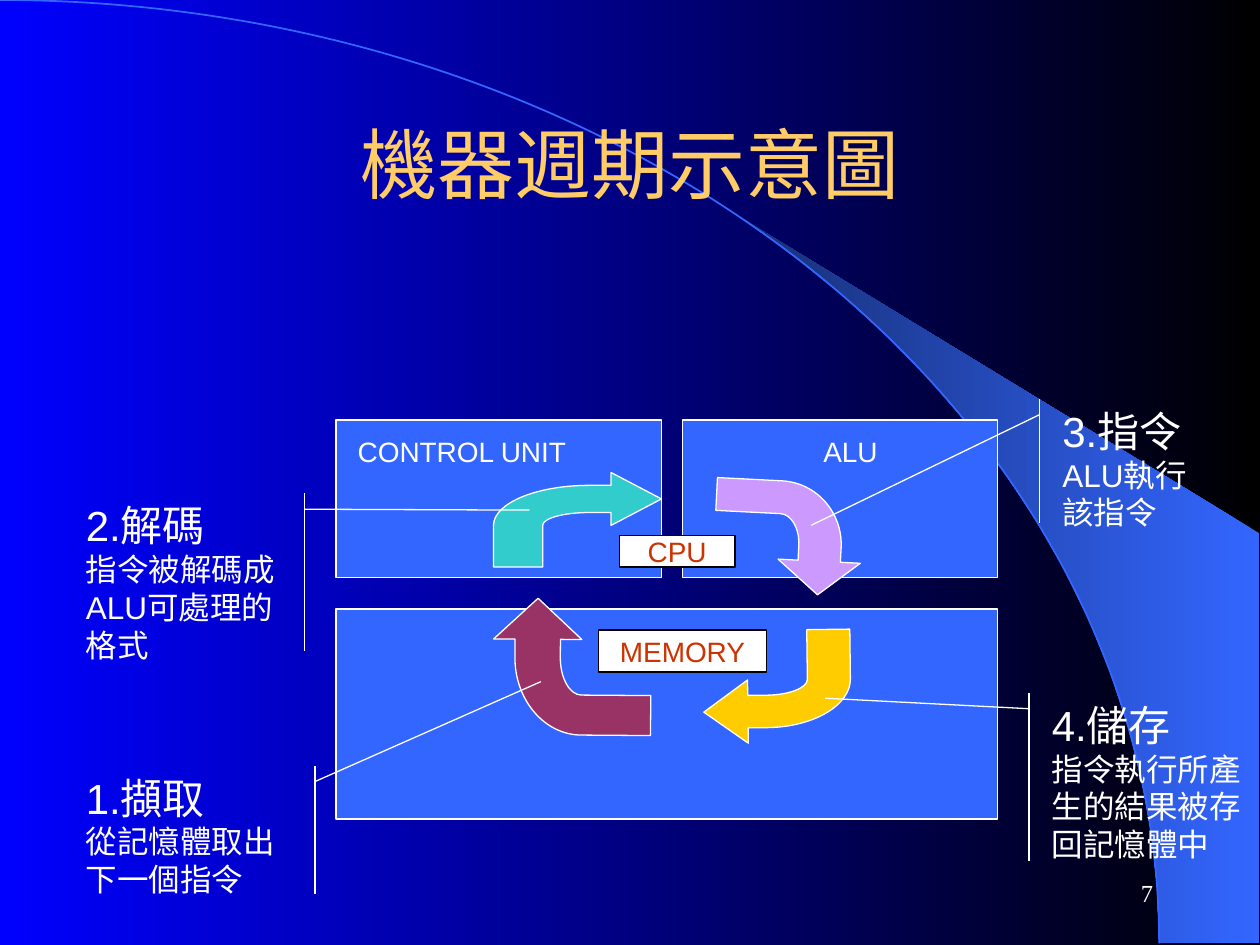
"""Build the machine cycle slide: control unit, ALU and memory joined by four arrows."""
import math

from lxml import etree
from pptx import Presentation
from pptx import util as u
from pptx.dml.color import RGBColor
from pptx.enum import shapes, text
from pptx.oxml import ns

BLACK = RGBColor(0x00, 0x00, 0x00)
WHITE = RGBColor(0xFF, 0xFF, 0xFF)
DEEP_BLUE = RGBColor(0x00, 0x00, 0xFF)
BLUE = RGBColor(0x33, 0x66, 0xFF)
NAVY = RGBColor(0x17, 0x2F, 0x75)
GOLD = RGBColor(0xFF, 0xCC, 0x66)
RED = RGBColor(0xCC, 0x33, 0x00)
TEAL = RGBColor(0x33, 0xCC, 0xCC)
LILAC = RGBColor(0xCC, 0x99, 0xFF)
YELLOW = RGBColor(0xFF, 0xCC, 0x00)
PLUM = RGBColor(0x99, 0x33, 0x66)


def outline(canvas, points, curves=()):
    corners = [(u.Pt(x), u.Pt(y)) for x, y in points]
    builder = canvas.build_freeform(*corners[0])
    builder.add_line_segments(corners[1:])
    shape = builder.convert_to_shape()
    shape.shadow.inherit = False
    segments = list(shape._element.find(".//" + ns.qn("a:path")))
    for first in curves:
        curve = etree.Element(ns.qn("a:cubicBezTo"))
        segments[first].addprevious(curve)
        for segment in segments[first:first + 3]:
            curve.append(segment[0])
            segment.getparent().remove(segment)
    return shape


def write(shape, lines, sizes, color=WHITE, font="Arial", align=text.PP_ALIGN.CENTER,
          anchor=text.MSO_ANCHOR.MIDDLE, wrap=True):
    frame = shape.text_frame
    frame.word_wrap = wrap
    frame.vertical_anchor = anchor
    frame.text = "\n".join(lines)
    for paragraph, size in zip(frame.paragraphs, sizes):
        paragraph.alignment = align
        for run in paragraph.runs:
            run.font.name = font
            run.font.size = u.Pt(size)
            run.font.color.rgb = color


presentation = Presentation()
presentation.slide_width, presentation.slide_height = u.Pt(720), u.Pt(540)
slide = presentation.slides.add_slide(presentation.slide_layouts[6])
canvas = slide.shapes

angles = [math.radians(50.2 * step / 15) for step in range(16)]
crescent_edge = [(662.4 * math.cos(a), 539 - 539 * math.sin(a)) for a in angles]
crescent = outline(canvas, crescent_edge + [(424, 124.8), (719.3, 304.6), (719.3, 539)])
crescent.line.fill.background()
for fill, colors in ((slide.background.fill, (BLACK, DEEP_BLUE)),
                     (crescent.fill, (BLUE, NAVY))):
    fill.gradient()
    fill.gradient_angle = 180
    for stop, color in zip(fill.gradient_stops, colors):
        stop.color.rgb = color

horizon = canvas.add_shape(shapes.MSO_SHAPE.ARC, u.Pt(-662.4), u.Pt(0), u.Pt(1324.8), u.Pt(1078))
horizon.shadow.inherit = False
horizon.fill.background()
horizon.line.color.rgb = BLUE
horizon.line.width = u.Pt(1)

title = canvas.add_textbox(u.Pt(54), u.Pt(48), u.Pt(612), u.Pt(90))
write(title, ["機器週期示意圖"], [44], color=GOLD)

units = [(390, 240, 180, 90), (192, 348, 378, 120), (192, 240, 186, 90)]
for box in units:
    unit = canvas.add_shape(shapes.MSO_SHAPE.RECTANGLE, *map(u.Pt, box))
    unit.shadow.inherit = False
    unit.fill.solid()
    unit.fill.fore_color.rgb = BLUE
    unit.line.color.rgb = WHITE
    unit.line.width = u.Pt(0.75)

bent_arrow = [(0, 100), (0, 56), (0, 32.6), (25.5, 13.6), (57, 13.6), (70, 13.6), (70, 0),
              (100, 28), (70, 56), (70, 42.4), (57, 42.4), (41.7, 42.4), (29.3, 48.5),
              (29.3, 56), (29.3, 100)]
arrows = [
    (282, 270, 96, 54, 0, TEAL),
    (418.3, 265, 64, 84, 92.9, LILAC),
    (402, 360, 84, 64.5, 179.3, YELLOW),
    (288, 336, 78, 90, 270.4, PLUM),
]
for left, top, width, height, rotation, color in arrows:
    points = [(left + width * x / 100, top + height * y / 100) for x, y in bent_arrow]
    arrow = outline(canvas, points, curves=(2, 11))
    arrow.rotation = rotation
    arrow.fill.solid()
    arrow.fill.fore_color.rgb = color
    arrow.line.color.rgb = WHITE
    arrow.line.width = u.Pt(0.75)

labels = [
    ("ALU", (456, 246, 60, 24), BLUE, WHITE, None),
    ("CONTROL UNIT", (210, 246, 108, 24), BLUE, WHITE, None),
    ("CPU", (354, 306, 66, 18), WHITE, RED, BLACK),
    ("MEMORY", (342, 360, 96, 24), WHITE, RED, BLACK),
]
for name, box, fill_color, text_color, border in labels:
    label = canvas.add_shape(shapes.MSO_SHAPE.RECTANGLE, *map(u.Pt, box))
    label.shadow.inherit = False
    label.fill.solid()
    label.fill.fore_color.rgb = fill_color
    if border is None:
        label.line.fill.background()
    else:
        label.line.color.rgb = border
        label.line.width = u.Pt(0.75)
    write(label, [name], [16], color=text_color, wrap=False)

steps = [
    ("1.擷取", "從記憶體取出下一個指令", (42, 437.6, 132, 73.5), 180, (309, 389.5)),
    ("2.解碼", "指令被解碼成ALU可處理的格式", (42, 282, 126, 90), 174, (302.5, 291.5)),
    ("3.指令", "ALU執行該指令", (600, 228, 96, 70.8), 594, (463.5, 300.2)),
    ("4.儲存", "指令執行所產生的結果被存回記憶體中", (594, 396, 126, 96), 588, (471.5, 399)),
]
for heading, detail, box, bar_x, (target_x, target_y) in steps:
    left, top, width, height = box
    callout = canvas.add_shape(shapes.MSO_SHAPE.LINE_CALLOUT_1_ACCENT_BAR, *map(u.Pt, box))
    callout.adjustments[0] = 9 / height
    callout.adjustments[1] = (bar_x - left) / width
    callout.adjustments[2] = (target_y - top) / height
    callout.adjustments[3] = (target_x - left) / width
    callout.shadow.inherit = False
    callout.fill.background()
    callout.line.color.rgb = WHITE
    callout.line.width = u.Pt(0.75)
    write(callout, [heading, detail], [24, 18], align=text.PP_ALIGN.LEFT,
          anchor=text.MSO_ANCHOR.TOP)

page_number = canvas.add_textbox(u.Pt(516), u.Pt(492), u.Pt(150), u.Pt(36))
write(page_number, ["7"], [14], font="Times New Roman", align=text.PP_ALIGN.RIGHT)

presentation.save("out.pptx")
